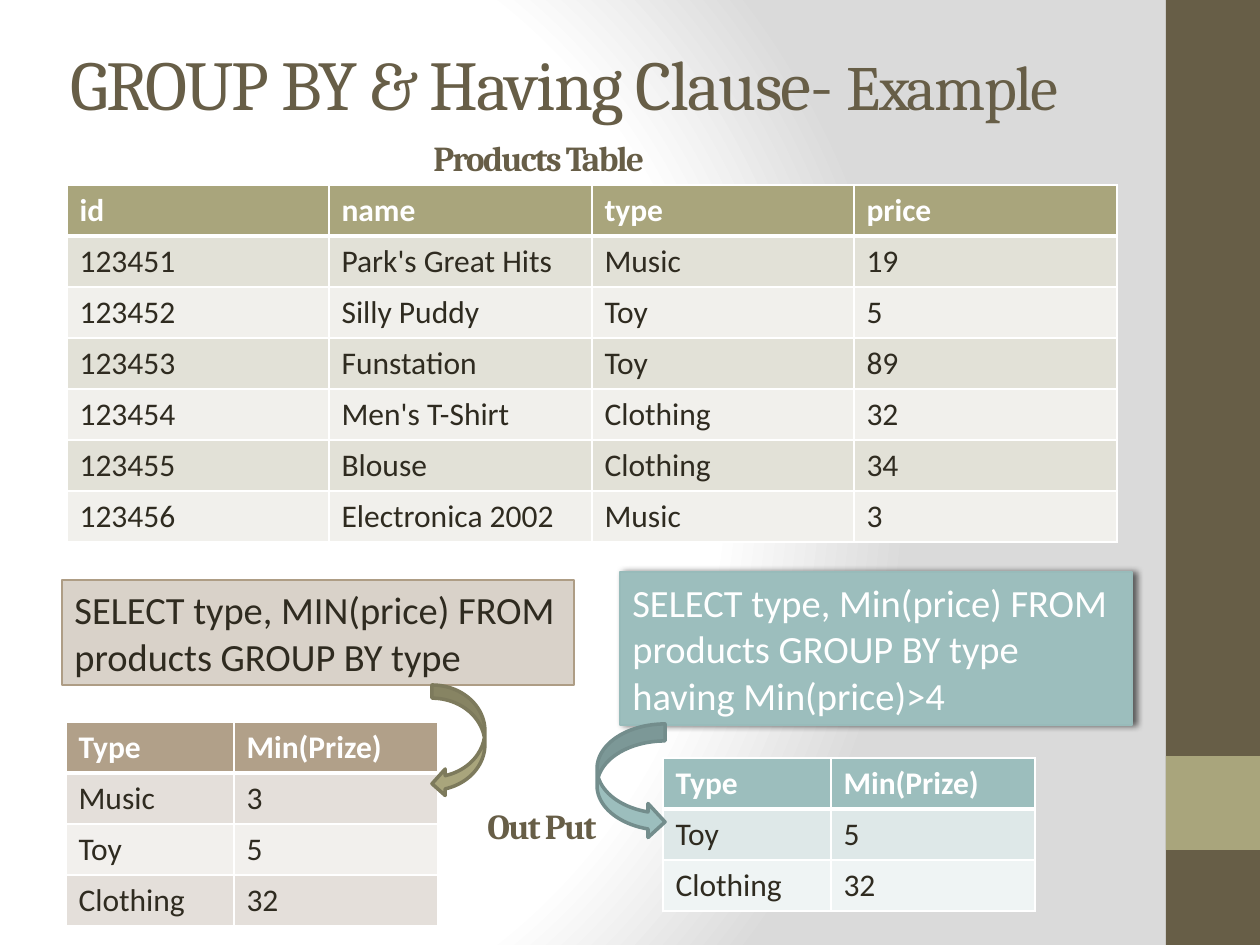
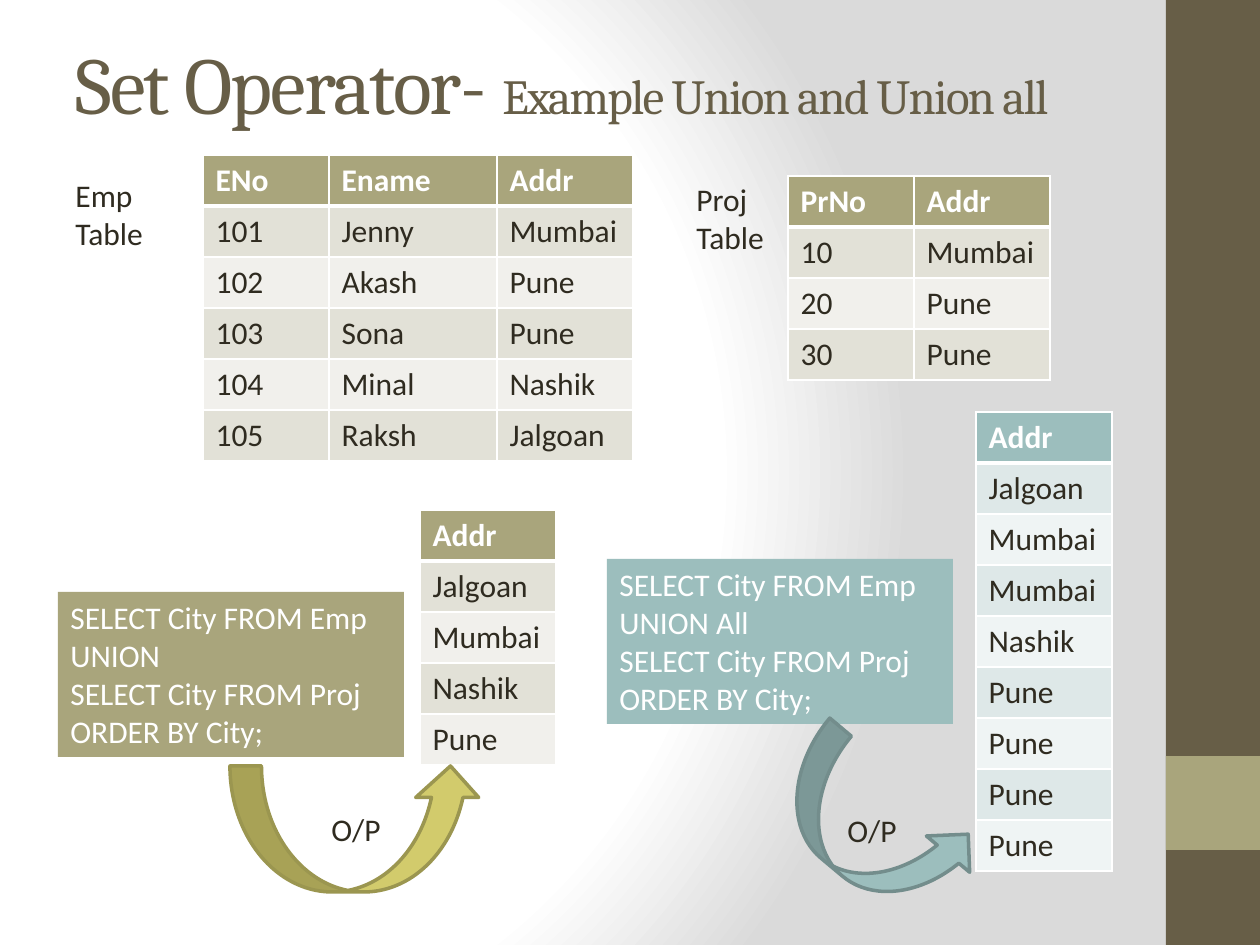
from dataclasses import dataclass
from typing import Optional

from pptx import Presentation
from pptx import util as u
from pptx.dml.color import RGBColor
from pptx.enum import shapes, text
from pptx.oxml import parse_xml
from pptx.oxml.ns import nsdecls

EMU_PER_PIXEL = 914400 / 126
WIDTH, HEIGHT = 1260, 945
ROW_HEIGHT = 51
BAND_LEFT, BAND_WIDTH = 1166, 94
BROWN, INK, WHITE = "675E47", "2F2B20", "FFFFFF"
OLIVE, TEAL, SAND = "A9A57C", "9CBEBD", "B1A089"
TEAL_EDGE = "738D8C"
BANDS = {
    OLIVE: ("E2E1D7", "F1F0EC"),
    TEAL: ("DEE8E8", "EFF4F4"),
    SAND: ("E4DFDA", "F2F0ED"),
}
Box = tuple[int, int, int, int]


@dataclass(frozen=True)
class Style:
    """Look of a block of text."""

    size: int
    color: str = INK
    font: str = "Calibri"
    bold: bool = False
    spacing: int = 0


BODY = Style(18)
HEADER = Style(18, WHITE, bold=True)
CAPTION = Style(20, BROWN, "Cambria", True, -100)


@dataclass(frozen=True)
class Grid:
    """A data table with a header row and banded rows."""

    left: int
    top: int
    columns: tuple[int, ...]
    accent: str
    rows: list[list[str]]


@dataclass(frozen=True)
class Label:
    """Free text that does not wrap."""

    box: Box
    copy: str
    style: Style = BODY


@dataclass(frozen=True)
class Query:
    """A filled box that holds an SQL statement."""

    box: Box
    sql: str
    fill: str
    style: Style
    edge: Optional[str] = None
    middle: bool = False
    shadow: bool = False


@dataclass(frozen=True)
class Arrow:
    """A curved arrow from a query to its result."""

    box: Box
    kind: shapes.MSO_SHAPE
    fill: str
    edge: str
    rotation: int = 0
    copy: str = ""


def px(pixels: float) -> u.Emu:
    """Turn pixels into EMU."""
    return u.Emu(round(pixels * EMU_PER_PIXEL))


def rgb(color: str) -> RGBColor:
    """Turn a hex string into a colour."""
    return RGBColor.from_string(color)


def write(frame, copy: str, style: Style) -> None:
    """Fill a text frame with paragraphs in one style."""
    frame.text = copy
    for paragraph in frame.paragraphs:
        font = paragraph.font
        font.name, font.size, font.bold = style.font, u.Pt(style.size), style.bold
        font.color.rgb = rgb(style.color)
        if style.spacing:
            tighten(paragraph, style.spacing)


def tighten(paragraph, spacing: int) -> None:
    """Set the letter spacing in hundredths of a point."""
    for run in paragraph.runs:
        run._r.get_or_add_rPr().set("spc", str(spacing))


def add_filled(slide, kind, box: Box, fill: str, edge: Optional[str] = None, weight: int = 1):
    """Add a preset shape without a shadow."""
    shape = slide.shapes.add_shape(kind, *map(px, box))
    shape.shadow.inherit = False
    shape.fill.solid()
    shape.fill.fore_color.rgb = rgb(fill)
    if edge:
        shape.line.color.rgb = rgb(edge)
        shape.line.width = u.Pt(weight)
    else:
        shape.line.fill.background()
    return shape


def add_backdrop(slide) -> None:
    """Draw the radial background and the side bands."""
    stops = "".join(
        f'<a:gs pos="{place * 1000}"><a:srgbClr val="{color}"/></a:gs>'
        for place, color in ((0, WHITE), (75, WHITE), (100, "DADADA"))
    )
    slide.element.cSld.insert(0, parse_xml(
        f'<p:bg {nsdecls("p", "a")}><p:bgPr><a:gradFill rotWithShape="1"><a:gsLst>{stops}</a:gsLst>'
        '<a:path path="circle"><a:fillToRect l="20000" t="50000" r="100000" b="50000"/></a:path>'
        '</a:gradFill><a:effectLst/></p:bgPr></p:bg>'
    ))
    rectangle = shapes.MSO_SHAPE.RECTANGLE
    add_filled(slide, rectangle, (BAND_LEFT, 0, BAND_WIDTH, HEIGHT), BROWN)
    add_filled(slide, rectangle, (BAND_LEFT, 756, BAND_WIDTH, BAND_WIDTH), OLIVE)


def add_title(slide, left: int, *parts: tuple[str, int]) -> None:
    """Add a one-line title whose parts differ in size."""
    frame = slide.shapes.add_textbox(*map(px, (left, 4, 1050, 157))).text_frame
    frame.word_wrap = True
    frame.vertical_anchor = text.MSO_ANCHOR.MIDDLE
    paragraph = frame.paragraphs[0]
    paragraph.font.name = "Cambria"
    paragraph.font.color.rgb = rgb(BROWN)
    for copy, size in parts:
        run = paragraph.add_run()
        run.text = copy
        run.font.size = u.Pt(size)
    tighten(paragraph, -100)


def set_borders(cell, top: int, bottom: int) -> None:
    """Give a cell white borders, with top and bottom widths in points."""
    sides = (("L", 1), ("R", 1), ("T", top), ("B", bottom))
    for place, (side, weight) in enumerate(sides):
        cell._tc.get_or_add_tcPr().insert(place, parse_xml(
            f'<a:ln{side} {nsdecls("a")} w="{u.Pt(weight)}"><a:solidFill>'
            f'<a:srgbClr val="{WHITE}"/></a:solidFill></a:ln{side}>'
        ))


def add_grid(slide, grid: Grid) -> None:
    """Add a banded table."""
    count = len(grid.rows)
    size = (sum(grid.columns), count * ROW_HEIGHT)
    table = slide.shapes.add_table(
        count, len(grid.columns), *map(px, (grid.left, grid.top, *size))
    ).table
    for column, width in zip(table.columns, grid.columns):
        column.width = px(width)
    for r, row in enumerate(grid.rows):
        for c, copy in enumerate(row):
            cell = table.cell(r, c)
            write(cell.text_frame, copy, BODY if r else HEADER)
            cell.vertical_anchor = text.MSO_ANCHOR.MIDDLE
            cell.fill.solid()
            cell.fill.fore_color.rgb = rgb(BANDS[grid.accent][(r - 1) % 2] if r else grid.accent)
            set_borders(cell, 3 if r == 1 else 1, 1 if r else 3)


def add_label(slide, label: Label) -> None:
    """Add free text."""
    frame = slide.shapes.add_textbox(*map(px, label.box)).text_frame
    frame.word_wrap = False
    frame.auto_size = text.MSO_AUTO_SIZE.SHAPE_TO_FIT_TEXT
    write(frame, label.copy, label.style)


def add_query(slide, query: Query) -> None:
    """Add an SQL box."""
    shape = add_filled(slide, shapes.MSO_SHAPE.RECTANGLE, query.box, query.fill, query.edge)
    if query.shadow:
        shape._element.spPr.effectLst.append(parse_xml(
            f'<a:outerShdw {nsdecls("a")} blurRad="{u.Pt(4)}" dist="{u.Pt(2)}" dir="0" '
            'rotWithShape="0"><a:srgbClr val="000000"><a:alpha val="60000"/></a:srgbClr></a:outerShdw>'
        ))
    frame = shape.text_frame
    frame.word_wrap = True
    frame.auto_size = text.MSO_AUTO_SIZE.SHAPE_TO_FIT_TEXT
    frame.vertical_anchor = text.MSO_ANCHOR.MIDDLE if query.middle else text.MSO_ANCHOR.TOP
    write(frame, query.sql, query.style)
    for paragraph in frame.paragraphs:
        paragraph.alignment = text.PP_ALIGN.LEFT


def add_arrow(slide, arrow: Arrow) -> None:
    """Add a curved arrow."""
    shape = add_filled(slide, arrow.kind, arrow.box, arrow.fill, arrow.edge, 2)
    shape.rotation = arrow.rotation
    if arrow.copy:
        write(shape.text_frame, arrow.copy, BODY)
        shape.text_frame.paragraphs[0].alignment = text.PP_ALIGN.CENTER


def add_items(slide, *items) -> None:
    """Draw the items from back to front."""
    draw = {Grid: add_grid, Label: add_label, Query: add_query, Arrow: add_arrow}
    for item in items:
        draw[type(item)](slide, item)


def add_group_by(slide) -> None:
    """Build the slide on GROUP BY and HAVING."""
    add_title(slide, 58, ("GROUP BY & Having Clause- ", 40), ("Example", 36))
    minimum = ["Type", "Min(Prize)"]
    toy, clothing = ["Toy", "5"], ["Clothing", "32"]
    add_items(
        slide,
        Grid(67, 185, (262, 263, 262, 263), OLIVE, [
            ["id", "name", "type", "price"],
            ["123451", "Park's Great Hits", "Music", "19"],
            ["123452", "Silly Puddy", "Toy", "5"],
            ["123453", "Funstation", "Toy", "89"],
            ["123454", "Men's T-Shirt", "Clothing", "32"],
            ["123455", "Blouse", "Clothing", "34"],
            ["123456", "Electronica 2002", "Music", "3"],
        ]),
        Query((62, 580, 512, 105), "SELECT type, MIN(price) FROM products GROUP BY type",
              "D9D2C9", Style(22), "AE9D85", middle=True),
        Grid(66, 722, (168, 204), SAND, [minimum, ["Music", "3"], toy, clothing]),
        Label((421, 130, 243, 55), "Products Table", CAPTION),
        Label((475, 798, 135, 55), "Out Put", CAPTION),
        Query((620, 572, 512, 153),
              "SELECT type, Min(price) FROM products GROUP BY type having Min(price)>4",
              TEAL, Style(22, WHITE), "98BBBA", middle=True, shadow=True),
        Grid(663, 758, (168, 204), TEAL, [minimum, toy, clothing]),
        Arrow((432, 685, 53, 112), shapes.MSO_SHAPE.CURVED_LEFT_ARROW, OLIVE, "7D7A5C"),
        Arrow((597, 724, 68, 115), shapes.MSO_SHAPE.CURVED_RIGHT_ARROW, TEAL, TEAL_EDGE),
    )


def add_set_operators(slide) -> None:
    """Build the slide on UNION and UNION ALL."""
    add_title(slide, 63, ("Set Operator- ", 46), ("Example Union and Union all", 28))
    sql = "SELECT City FROM Emp\n{}\vSELECT City FROM Proj\nORDER BY City;"
    number, name, address = 126, 168, 136
    union = ["Addr", "Jalgoan", "Mumbai", "Nashik", "Pune"]
    union_all = ["Addr", "Jalgoan", "Mumbai", "Mumbai", "Nashik"] + ["Pune"] * 4
    up_arrow = shapes.MSO_SHAPE.CURVED_UP_ARROW
    add_items(
        slide,
        Grid(203, 155, (number, name, address), OLIVE, [
            ["ENo", "Ename", "Addr"],
            ["101", "Jenny", "Mumbai"],
            ["102", "Akash", "Pune"],
            ["103", "Sona", "Pune"],
            ["104", "Minal", "Nashik"],
            ["105", "Raksh", "Jalgoan"],
        ]),
        Grid(788, 176, (number, address), OLIVE,
             [["PrNo", "Addr"], ["10", "Mumbai"], ["20", "Pune"], ["30", "Pune"]]),
        Query((58, 592, 346, 165), sql.format("UNION"), OLIVE, Style(18, WHITE)),
        Query((607, 559, 346, 165), sql.format("UNION All"), TEAL, Style(18, WHITE)),
        Label((63, 170, 93, 89), "Emp\nTable"),
        Label((684, 174, 93, 89), "Proj\nTable"),
        Grid(420, 510, (address,), OLIVE, [[city] for city in union]),
        Grid(976, 412, (address,), TEAL, [[city] for city in union_all]),
        Arrow((230, 766, 252, 126), up_arrow, "D2CB6C", "9B9650", copy="O/P"),
        Arrow((769, 772, 209, 113), up_arrow, TEAL, TEAL_EDGE, rotation=40),
        Label((835, 805, 76, 50), "O/P"),
    )


def main() -> None:
    """Build and save the presentation."""
    deck = Presentation()
    deck.slide_width, deck.slide_height = px(WIDTH), px(HEIGHT)
    for build in (add_group_by, add_set_operators):
        slide = deck.slides.add_slide(deck.slide_layouts[6])
        add_backdrop(slide)
        build(slide)
    deck.save("out.pptx")


main()
